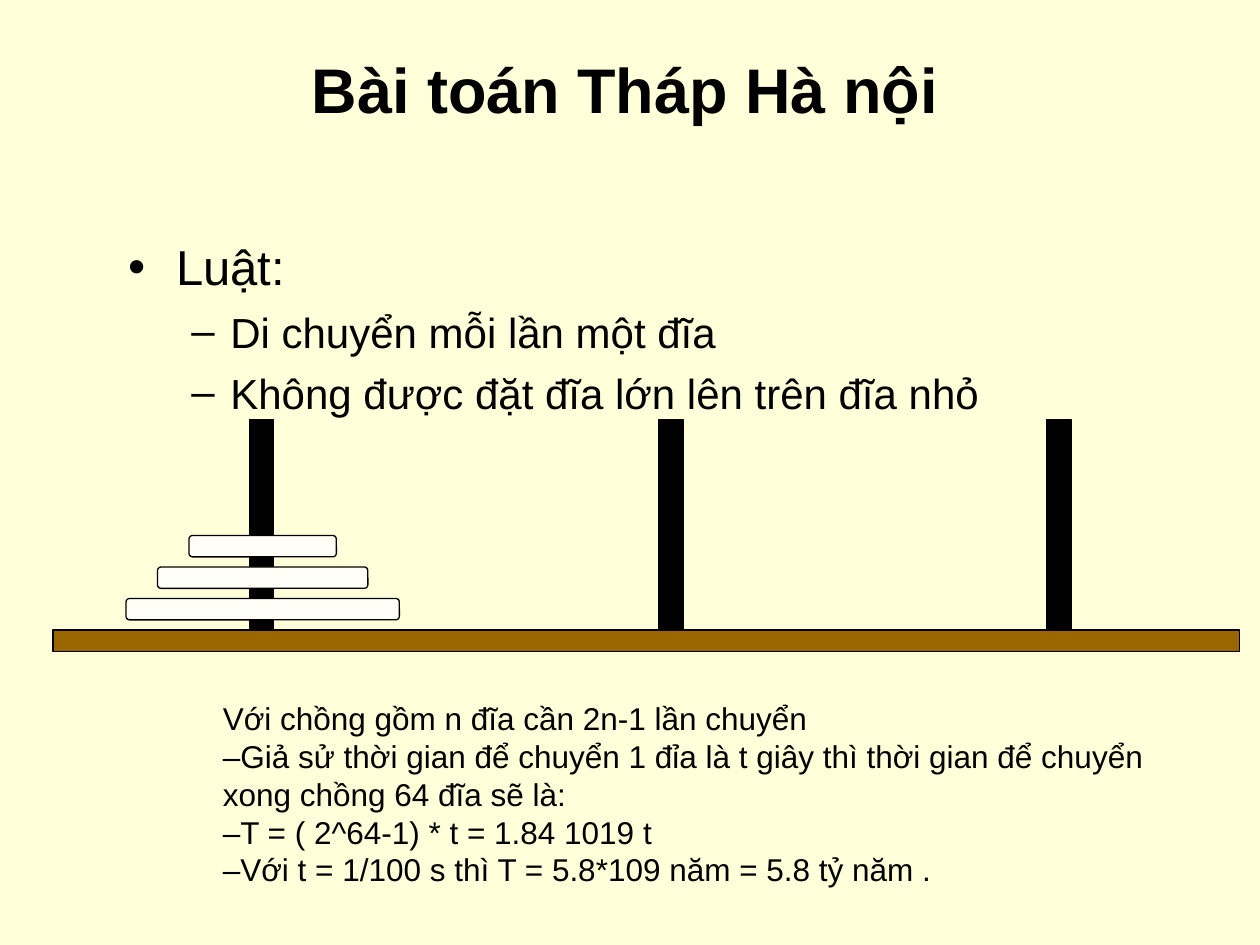
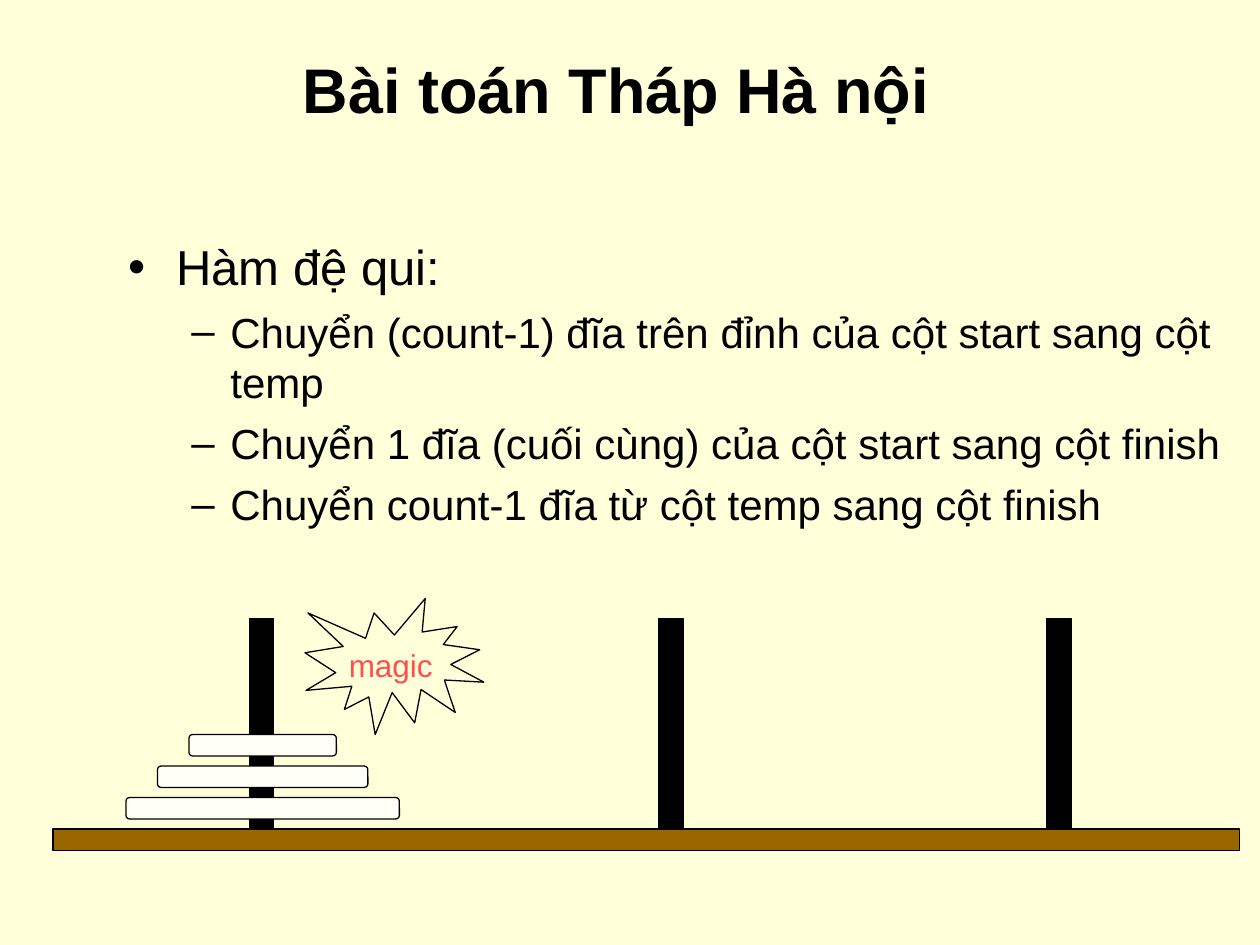
from lxml import etree
from pptx import Presentation
from pptx.dml.color import RGBColor
from pptx.enum.shapes import MSO_SHAPE
from pptx.enum.text import MSO_ANCHOR, MSO_AUTO_SIZE, PP_ALIGN
from pptx.oxml.ns import qn
from pptx.util import Inches, Pt

RECTANGLE = MSO_SHAPE.RECTANGLE
ROUNDED = MSO_SHAPE.ROUNDED_RECTANGLE
BURST = MSO_SHAPE.EXPLOSION1
CENTER, LEFT = PP_ALIGN.CENTER, PP_ALIGN.LEFT
MIDDLE, TOP = MSO_ANCHOR.MIDDLE, MSO_ANCHOR.TOP
TITLE_ONLY = 5

# Content: bullets are (level, text); base_top is the top of the wooden board
SLIDES = [
    {
        "title": "Bài toán Tháp Hà nội",
        "bullets": [
            (0, "Luật:"),
            (1, "Di chuyển mỗi lần một đĩa"),
            (1, "Không được đặt đĩa lớn lên trên đĩa nhỏ"),
        ],
        "base_top": 5,
        "notes": [
            "Với chồng gồm n đĩa cần 2n-1 lần chuyển",
            "–Giả sử thời gian để chuyển 1 đỉa là t giây thì thời gian để chuyển "
            "xong chồng 64 đĩa sẽ là:",
            "–T = ( 2^64-1) * t = 1.84 1019 t",
            "–Với t = 1/100 s thì T = 5.8*109 năm = 5.8 tỷ năm .",
        ],
    },
    {
        "title": "Bài toán Tháp Hà nội ",
        "bullets": [
            (0, "Hàm đệ qui:"),
            (1, "Chuyển (count-1) đĩa trên đỉnh của cột start sang cột temp"),
            (1, "Chuyển 1 đĩa (cuối cùng) của cột start sang cột finish"),
            (1, "Chuyển count-1 đĩa từ cột temp sang cột finish"),
        ],
        "base_top": 6.58,
        "magic": "magic",
    },
]

# Shared style
FONT = "Arial"
BACKGROUND, BLACK, WOOD, DISC, MAGIC = "FFFFD9", "000000", "996600", "FFFFF7", "FF5050"
TITLE_BOX = (0.92, 0.08, 8.08, 1.25)
BODY_BOX = (0.92, 1.83, 8.92, 5.08)
NOTES_BOX = (1.67, 5.5, 7.92, 1.6)
MAGIC_BOX = (2.67, 5.08, 0.86, 0.4)
BURST_BOX = (2.42, 4.75, 1.42, 1.08)
BULLET_LEVELS = [
    {"size": 28, "before": 7, "bullet": "•", "indent": (0.38, 0.38)},
    {"size": 24, "before": 6, "bullet": "–", "indent": (0.81, 0.31)},
]

# Tower geometry
BOARD_LEFT, BOARD_WIDTH, THICKNESS = 0.42, 9.42, 0.17
PEG_LEFTS, PEG_WIDTH, PEG_HEIGHT = (1.98, 5.23, 8.31), 0.19, 1.67
DISC_COUNT, DISC_LEFT, DISC_WIDTH, DISC_STEP = 3, 1, 2.17, 0.25


def color(value):
    return RGBColor.from_string(value)


def inches(box):
    return [Inches(length) for length in box]


def add_paragraph(frame, text, size=18, ink=BLACK, bold=False, align=LEFT,
                  before=0, bullet=None, indent=None):
    first = frame.paragraphs[0]
    paragraph = first if not first.runs else frame.add_paragraph()
    paragraph.alignment = align
    paragraph.space_before = Pt(before)
    run = paragraph.add_run()
    run.text = text
    run.font.name = FONT
    run.font.size = Pt(size)
    run.font.bold = bold
    run.font.color.rgb = color(ink)
    if bullet:
        margin, hanging = inches(indent)
        properties = paragraph._p.get_or_add_pPr()
        properties.set("marL", str(margin))
        properties.set("indent", str(-hanging))
        etree.SubElement(properties, qn("a:buFont"), typeface=FONT)
        etree.SubElement(properties, qn("a:buChar"), char=bullet)


def format_frame(frame, wrap=True, anchor=TOP):
    frame.word_wrap = wrap
    frame.auto_size = MSO_AUTO_SIZE.NONE
    frame.vertical_anchor = anchor


def add_text_box(slide, box, wrap=True):
    frame = slide.shapes.add_textbox(*inches(box)).text_frame
    format_frame(frame, wrap)
    return frame


def add_outlined(slide, kind, box, fill=None):
    shape = slide.shapes.add_shape(kind, *inches(box))
    shape.shadow.inherit = False
    if fill:
        shape.fill.solid()
        shape.fill.fore_color.rgb = color(fill)
    else:
        shape.fill.background()
    shape.line.color.rgb = color(BLACK)
    shape.line.width = Pt(0.75)


def add_title(slide, text):
    title = slide.shapes.title
    title.left, title.top, title.width, title.height = inches(TITLE_BOX)
    format_frame(title.text_frame, anchor=MIDDLE)
    add_paragraph(title.text_frame, text, size=36, bold=True, align=CENTER)


def add_towers(slide, base_top):
    add_outlined(slide, RECTANGLE, (BOARD_LEFT, base_top, BOARD_WIDTH, THICKNESS), WOOD)
    for left in PEG_LEFTS:
        add_outlined(slide, RECTANGLE,
                     (left, base_top - PEG_HEIGHT, PEG_WIDTH, PEG_HEIGHT), BLACK)
    # Each disc sits one step higher and is one step shorter at both ends
    for index in range(DISC_COUNT):
        inset = index * DISC_STEP
        add_outlined(slide, ROUNDED,
                     (DISC_LEFT + inset, base_top - inset - DISC_STEP,
                      DISC_WIDTH - 2 * inset, THICKNESS), DISC)


def build_slide(presentation, content):
    slide = presentation.slides.add_slide(presentation.slide_layouts[TITLE_ONLY])
    add_title(slide, content["title"])

    # Bulleted rules
    body = add_text_box(slide, BODY_BOX)
    for level, text in content["bullets"]:
        add_paragraph(body, text, **BULLET_LEVELS[level])

    add_towers(slide, content["base_top"])

    # Running time below the board
    if "notes" in content:
        notes = add_text_box(slide, NOTES_BOX)
        for text in content["notes"]:
            add_paragraph(notes, text)

    # Burst beside the first peg
    if "magic" in content:
        add_paragraph(add_text_box(slide, MAGIC_BOX, wrap=False), content["magic"], ink=MAGIC)
        add_outlined(slide, BURST, BURST_BOX)


def main():
    presentation = Presentation()
    presentation.slide_width, presentation.slide_height = Inches(10), Inches(7.5)
    background = presentation.slide_master.background.fill
    background.solid()
    background.fore_color.rgb = color(BACKGROUND)
    for content in SLIDES:
        build_slide(presentation, content)
    presentation.save("out.pptx")


if __name__ == "__main__":
    main()
